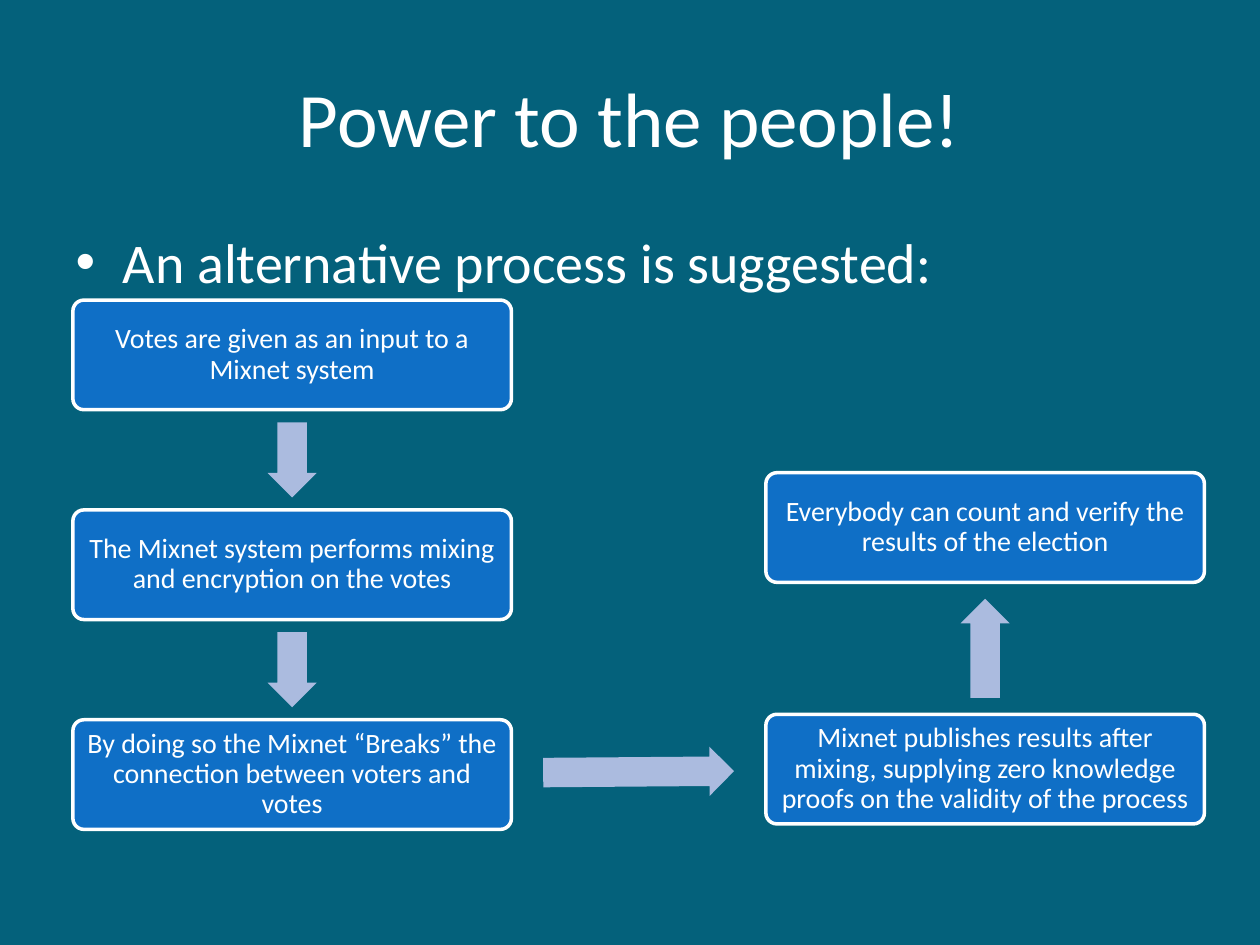
"""Build the slide that shows the voting process as a flow of boxes."""
import math
from pptx import Presentation
from pptx import util as u
from pptx.dml import color
from pptx.enum import shapes, text

TEAL = color.RGBColor(0x04, 0x61, 0x7B)
BLUE = color.RGBColor(0x0F, 0x6F, 0xC6)
LILAC = color.RGBColor(0xAB, 0xBB, 0xDF)
WHITE = color.RGBColor(0xFF, 0xFF, 0xFF)

WIDE, HIGH = 8.84, 2.21
STEP = 4.23
THICK = 0.99
SHARE = 0.75


def write(frame, words, size=16, align=None, gap=None, after=None):
    """Put one formatted paragraph into a text frame."""
    frame.word_wrap = True
    frame.vertical_anchor = text.MSO_ANCHOR.MIDDLE
    para = frame.paragraphs[0]
    para.alignment = align
    para.line_spacing = gap
    para.space_after = after
    run = para.add_run()
    run.text = words
    run.font.size = u.Pt(size)
    run.font.name = "Calibri"
    run.font.color.rgb = WHITE


def place(item, left, top, width, height):
    """Move and size a shape, in centimetres."""
    item.left, item.top = u.Cm(left), u.Cm(top)
    item.width, item.height = u.Cm(width), u.Cm(height)


def head(slide):
    """Fill the title and body placeholders."""
    title, body = slide.shapes.title, slide.placeholders[1]
    place(title, 1.27, 0.76, 22.86, 3.18)
    write(title.text_frame, "Power to the people!", size=44,
          align=text.PP_ALIGN.CENTER)
    place(body, 1.27, 4.45, 22.86, 12.57)
    write(body.text_frame, "An alternative process is suggested:", size=32)
    body.text_frame.vertical_anchor = text.MSO_ANCHOR.TOP


def add(slide, kind, fill, *box):
    """Add a flat filled shape without a line."""
    item = slide.shapes.add_shape(kind, *map(u.Cm, box))
    item.shadow.inherit = False
    item.fill.solid()
    item.fill.fore_color.rgb = fill
    item.line.fill.background()
    return item


def step(slide, words, left, top):
    """Draw one step of the process."""
    item = add(slide, shapes.MSO_SHAPE.ROUNDED_RECTANGLE, BLUE,
               left, top, WIDE, HIGH)
    item.adjustments[0] = 0.1
    item.line.color.rgb = WHITE
    item.line.width = u.Pt(2)
    frame = item.text_frame
    frame.margin_left = frame.margin_right = u.Cm(0.17)
    frame.margin_top = frame.margin_bottom = u.Cm(0.17)
    write(frame, words, align=text.PP_ALIGN.CENTER, gap=0.9, after=u.Pt(5.6))


def arrow(slide, start, end):
    """Draw an arrow centred in the gap between two steps."""
    dx, dy = end[0] - start[0], end[1] - start[1]
    side = WIDE if abs(dx) > abs(dy) else HIGH
    size = SHARE * (math.hypot(dx, dy) - side)
    left = start[0] + (dx + WIDE - size) / 2
    top = start[1] + (dy + HIGH - THICK) / 2
    item = add(slide, shapes.MSO_SHAPE.RIGHT_ARROW, LILAC,
               left, top, size, THICK)
    item.adjustments[0], item.adjustments[1] = 0.6, 0.5
    item.rotation = math.degrees(math.atan2(dy, dx)) % 360


def flow(slide, left, top):
    """Draw the steps and the arrows that join them."""
    right = left + 13.97
    steps = [
        ("Votes are given as an input to a Mixnet system", (left, top)),
        ("The Mixnet system performs mixing and encryption on the votes",
         (left, top + STEP)),
        ("By doing so the Mixnet “Breaks” the connection between voters "
         "and votes", (left, top + 2 * STEP)),
        ("Mixnet publishes results after mixing, supplying zero knowledge "
         "proofs on the validity of the process", (right, top + 8.35)),
        ("Everybody can count and verify the results of the election",
         (right, top + 3.48)),
    ]
    for words, spot in steps:
        step(slide, words, *spot)
    for (_, start), (_, end) in zip(steps, steps[1:]):
        arrow(slide, start, end)


def main():
    """Build and save the deck."""
    deck = Presentation()
    deck.slide_width, deck.slide_height = u.Cm(25.4), u.Cm(19.05)
    slide = deck.slides.add_slide(deck.slide_layouts[1])
    slide.background.fill.solid()
    slide.background.fill.fore_color.rgb = TEAL
    head(slide)
    flow(slide, 1.47, 6.05)
    deck.save("out.pptx")


main()
